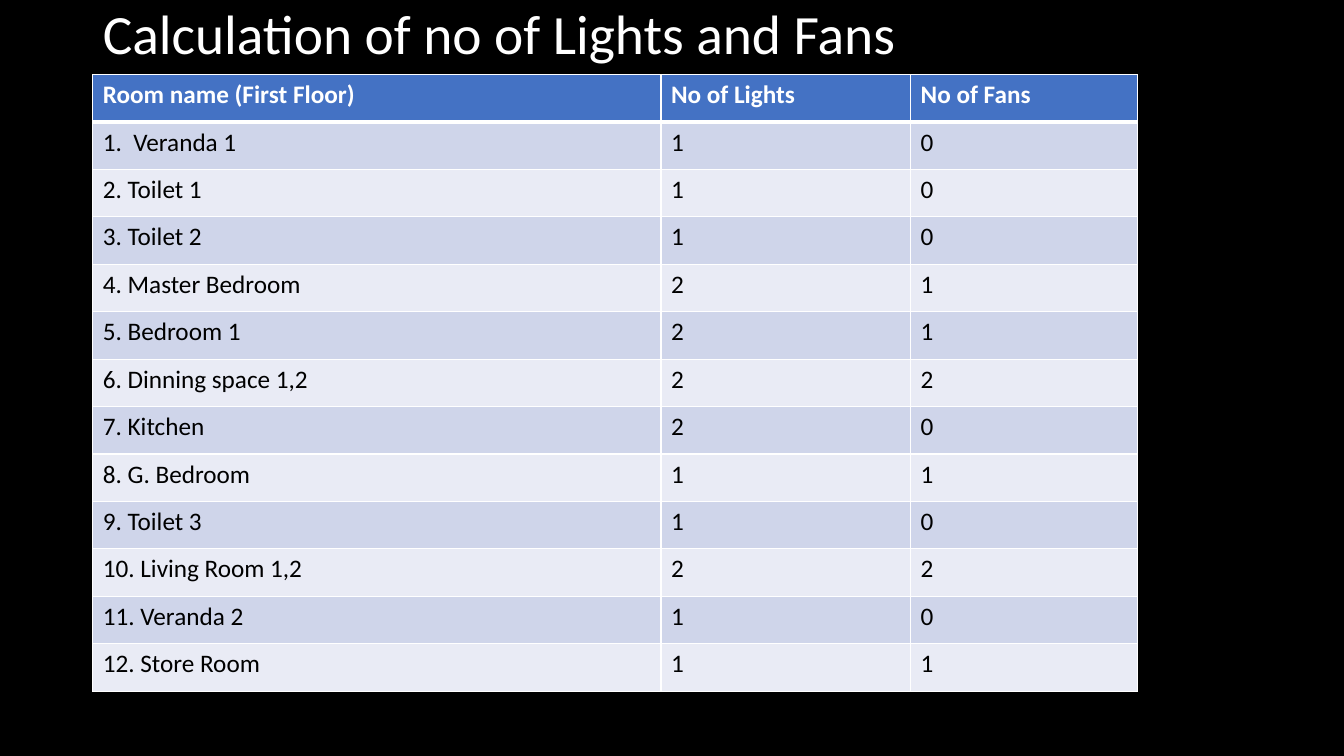
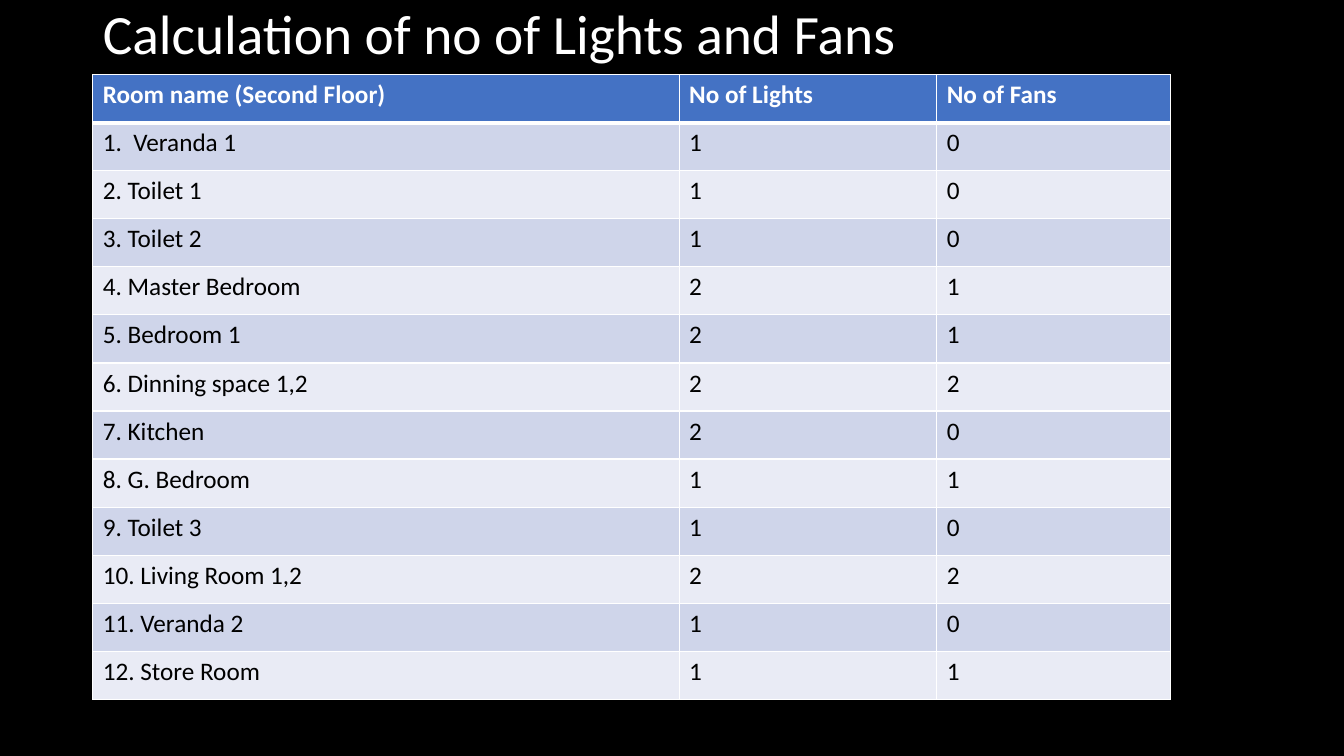
"""Builds two slides that list the lights and fans of each room, floor by floor."""
from lxml import etree
from pptx import Presentation
from pptx import util as u
from pptx.dml.color import RGBColor
from pptx.enum import text
from pptx.oxml import ns

TITLE = "Calculation of no of Lights and Fans"
ROOMS = [
    ("1.  Veranda 1", 1, 0),
    ("2. Toilet 1", 1, 0),
    ("3. Toilet 2", 1, 0),
    ("4. Master Bedroom", 2, 1),
    ("5. Bedroom 1", 2, 1),
    ("6. Dinning space 1,2", 2, 2),
    ("7. Kitchen", 2, 0),
    ("8. G. Bedroom", 1, 1),
    ("9. Toilet 3", 1, 0),
    ("10. Living Room 1,2", 2, 2),
    ("11. Veranda 2", 1, 0),
    ("12. Store Room", 1, 1),
]
FLOORS = [
    {"name": "First Floor", "width": 10.36, "height": 6.12},
    {"name": "Second Floor", "width": 10.69, "height": 6.2},
]

SLIDE_WIDTH, SLIDE_HEIGHT = 13.33, 7.5
LEFT, TITLE_TOP, TABLE_TOP = 0.92, 0.1, 0.74
TITLE_WIDTH, TITLE_HEIGHT = 11.5, 0.52
COLUMN_SHARES = (0.544, 0.239, 0.217)
FONT = "Calibri"
BLACK, WHITE, HEADER_FILL = "000000", "FFFFFF", "4472C4"
BAND_FILLS = ("CFD5EA", "E9EBF5")


def paint(fill, color):
    fill.solid()
    fill.fore_color.rgb = RGBColor.from_string(color)


def style_font(paragraph, size, color, bold=False):
    font = paragraph.font
    font.name, font.size, font.bold = FONT, u.Pt(size), bold
    font.color.rgb = RGBColor.from_string(color)


def draw_borders(cell, top=1, bottom=1):
    properties = cell._tc.get_or_add_tcPr()
    widths = {"lnL": 1, "lnR": 1, "lnT": top, "lnB": bottom}
    for position, (side, width) in enumerate(widths.items()):
        line = etree.Element(ns.qn(f"a:{side}"), w=str(u.Pt(width)))
        fill = etree.SubElement(line, ns.qn("a:solidFill"))
        etree.SubElement(fill, ns.qn("a:srgbClr"), val=WHITE)
        properties.insert(position, line)


def set_up_layout(presentation):
    presentation.slide_width = u.Inches(SLIDE_WIDTH)
    presentation.slide_height = u.Inches(SLIDE_HEIGHT)
    paint(presentation.slide_master.background.fill, BLACK)
    layout = presentation.slide_layouts.get_by_name("Title Only")
    title = layout.placeholders[0]
    title.left, title.top = u.Inches(LEFT), u.Inches(TITLE_TOP)
    title.width, title.height = u.Inches(TITLE_WIDTH), u.Inches(TITLE_HEIGHT)
    return layout


def add_title(slide):
    frame = slide.shapes.title.text_frame
    frame.text = TITLE
    frame.auto_size = text.MSO_AUTO_SIZE.NONE
    frame.vertical_anchor = text.MSO_ANCHOR.MIDDLE
    paragraph = frame.paragraphs[0]
    paragraph.alignment = text.PP_ALIGN.LEFT
    paragraph.line_spacing = 0.9
    style_font(paragraph, 39.6, WHITE)


def add_room_table(slide, floor):
    rows = [(f"Room name ({floor['name']})", "No of Lights", "No of Fans"), *ROOMS]
    width, height = u.Inches(floor["width"]), u.Inches(floor["height"])
    table = slide.shapes.add_table(
        len(rows), len(COLUMN_SHARES), u.Inches(LEFT), u.Inches(TABLE_TOP), width, height
    ).table
    for column, share in zip(table.columns, COLUMN_SHARES):
        column.width = int(width * share)
    for row_index, values in enumerate(rows):
        header = row_index == 0
        fill = HEADER_FILL if header else BAND_FILLS[(row_index - 1) % 2]
        for column_index, value in enumerate(values):
            cell = table.cell(row_index, column_index)
            cell.text = str(value)
            style_font(cell.text_frame.paragraphs[0], 18, WHITE if header else BLACK, header)
            paint(cell.fill, fill)
            draw_borders(cell, top=3 if row_index == 1 else 1, bottom=3 if header else 1)


def main():
    presentation = Presentation()
    layout = set_up_layout(presentation)
    for floor in FLOORS:
        slide = presentation.slides.add_slide(layout)
        add_title(slide)
        add_room_table(slide, floor)
    presentation.save("out.pptx")


if __name__ == "__main__":
    main()
